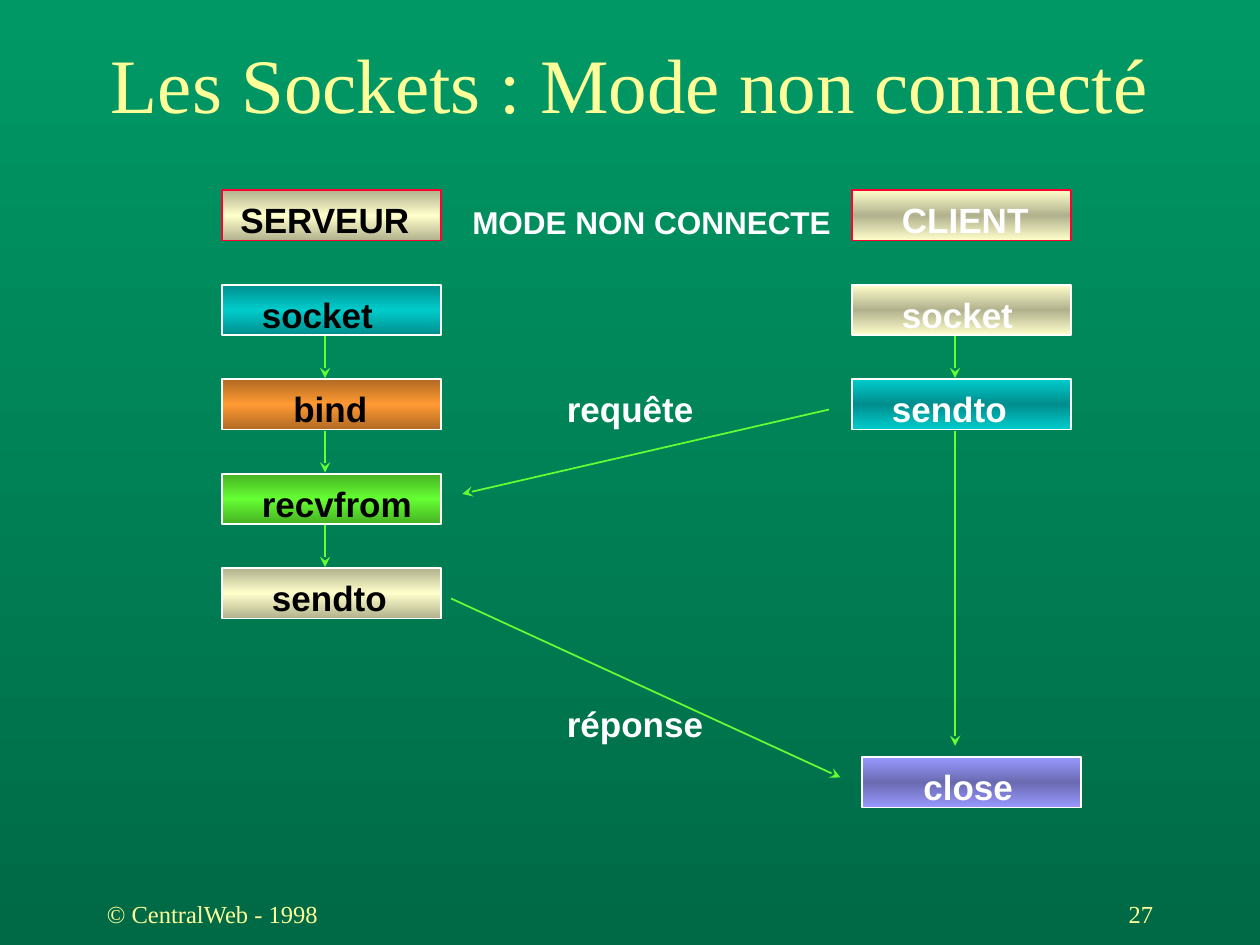
from copy import deepcopy
from dataclasses import dataclass

from lxml.etree import SubElement
from pptx import Presentation
from pptx.dml.color import RGBColor
from pptx.dml.fill import FillFormat
from pptx.enum.shapes import MSO_CONNECTOR, MSO_SHAPE
from pptx.enum.text import MSO_ANCHOR, MSO_AUTO_SIZE, PP_ALIGN
from pptx.oxml.ns import qn
from pptx.util import Inches, Pt

BLACK, WHITE, RED = "000000", "FFFFFF", "FF0033"
PALE_YELLOW, ARROW_GREEN = "FFFF99", "66FF33"
CREAM, DARK_CREAM = "FFFFCC", "B1B18D"
TEAL, DARK_TEAL = "00CCCC", "008D8D"

FIRST_ROW, ROW_STEP = 1.51, 0.75
STEP_WIDTH, STEP_HEIGHT = 1.74, 0.4
SERVER_LEFT, CLIENT_LEFT, CLOSE_LEFT = 1.76, 6.76, 6.84
SERVER_AXIS, CLIENT_AXIS = 2.58, 7.58


@dataclass(frozen=True)
class Step:
    name: str
    row: int
    left: float
    name_left: float
    name_width: float
    edge: str
    middle: str
    color: str
    outline: str = WHITE


@dataclass(frozen=True)
class Caption:
    wording: str
    left: float
    top: float
    width: float
    height: float = 0.43
    size: int = 20
    color: str = WHITE


@dataclass(frozen=True)
class Arrow:
    x1: float
    y1: float
    x2: float
    y2: float


STEPS = [
    Step("SERVEUR", 0, SERVER_LEFT, 1.81, 1.55, DARK_CREAM, CREAM, BLACK, RED),
    Step("socket", 1, SERVER_LEFT, 1.98, 1.08, DARK_TEAL, TEAL, BLACK),
    Step("bind", 2, SERVER_LEFT, 2.23, 0.79, "B16A23", "FF9933", BLACK),
    Step("recvfrom", 3, SERVER_LEFT, 1.98, 1.39, "46B123", "66FF33", BLACK),
    Step("sendto", 4, SERVER_LEFT, 2.06, 1.11, DARK_CREAM, CREAM, BLACK),
    Step("CLIENT", 0, CLIENT_LEFT, 7.06, 1.21, CREAM, DARK_CREAM, WHITE, RED),
    Step("socket", 1, CLIENT_LEFT, 7.06, 1.08, CREAM, DARK_CREAM, WHITE),
    Step("sendto", 2, CLIENT_LEFT, 6.98, 1.11, TEAL, DARK_TEAL, WHITE),
    Step("close", 6, CLOSE_LEFT, 7.23, 0.91, "9999FF", "6A6AB1", WHITE),
]

CAPTIONS = [
    Caption("MODE NON CONNECTE", 3.65, 1.56, 3.05, 0.4, 18),
    Caption("requête", 4.4, 3.03, 1.21),
    Caption("réponse", 4.4, 5.53, 1.29),
]


def step_arrow(axis: float, row: int, next_row: int) -> Arrow:
    """Vertical arrow from under one row to just above a later one."""
    return Arrow(axis, FIRST_ROW + row * ROW_STEP + 0.41,
                 axis, FIRST_ROW + next_row * ROW_STEP - 0.01)


ARROWS = [
    *(step_arrow(SERVER_AXIS, row, row + 1) for row in (1, 2, 3)),
    step_arrow(CLIENT_AXIS, 1, 2),
    Arrow(CLIENT_AXIS, 3.42, CLIENT_AXIS, 5.92),
    Arrow(6.58, 3.25, 3.67, 3.92),
    Arrow(3.58, 4.75, 6.67, 6.17),
]


def rgb(hex_color: str) -> RGBColor:
    return RGBColor.from_string(hex_color)


def fill_downwards(fill: FillFormat, owner, colors: list[str]) -> None:
    """Gradient from top to bottom with evenly spaced stops."""
    fill.gradient()
    fill.gradient_angle = 270
    stop_list = owner.xpath(".//a:gsLst")[0]
    while len(stop_list) < len(colors):
        stop_list.append(deepcopy(stop_list[0]))
    for index, (stop, color) in enumerate(zip(fill.gradient_stops, colors)):
        stop.position = index / (len(colors) - 1)
        stop.color.rgb = rgb(color)


def add_text(slide, caption: Caption, font_name: str = "Arial"):
    box = slide.shapes.add_textbox(Inches(caption.left), Inches(caption.top),
                                   Inches(caption.width), Inches(caption.height))
    frame = box.text_frame
    frame.text = caption.wording
    frame.word_wrap = False
    font = frame.paragraphs[0].runs[0].font
    font.name = font_name
    font.size = Pt(caption.size)
    font.bold = font_name == "Arial"
    font.color.rgb = rgb(caption.color)
    return frame


def add_label(slide, caption: Caption) -> None:
    add_text(slide, caption).auto_size = MSO_AUTO_SIZE.SHAPE_TO_FIT_TEXT


def add_frame_text(slide, caption: Caption, align: PP_ALIGN) -> None:
    """Title or footer text, in serif and centred vertically."""
    frame = add_text(slide, caption, "Times New Roman")
    frame.word_wrap = True
    frame.vertical_anchor = MSO_ANCHOR.MIDDLE
    frame.paragraphs[0].alignment = align


def add_step(slide, step: Step) -> None:
    top = FIRST_ROW + step.row * ROW_STEP
    box = slide.shapes.add_shape(MSO_SHAPE.RECTANGLE, Inches(step.left), Inches(top),
                                 Inches(STEP_WIDTH), Inches(STEP_HEIGHT))
    box.shadow.inherit = False
    fill_downwards(box.fill, box._element, [step.edge, step.middle, step.edge])
    box.line.color.rgb = rgb(step.outline)
    box.line.width = Pt(1)
    add_label(slide, Caption(step.name, step.name_left, top + 0.02,
                             step.name_width, color=step.color))


def add_arrow(slide, arrow: Arrow) -> None:
    connector = slide.shapes.add_connector(
        MSO_CONNECTOR.STRAIGHT, Inches(arrow.x1), Inches(arrow.y1),
        Inches(arrow.x2), Inches(arrow.y2))
    connector.line.color.rgb = rgb(ARROW_GREEN)
    connector.line.width = Pt(1)
    SubElement(connector.line._get_or_add_ln(), qn("a:tailEnd"), type="stealth")
    SubElement(connector._element.spPr, qn("a:effectLst"))


def main() -> None:
    presentation = Presentation()
    presentation.slide_width, presentation.slide_height = Inches(10), Inches(7.5)
    slide = presentation.slides.add_slide(presentation.slide_layouts[6])
    fill_downwards(slide.background.fill, slide._element, ["009966", "006A46"])

    add_frame_text(slide, Caption("Les Sockets : Mode non connecté", 0, 0.31, 10, 0.69,
                                  44, PALE_YELLOW), PP_ALIGN.CENTER)
    for step in STEPS:
        add_step(slide, step)
    for arrow in ARROWS:
        add_arrow(slide, arrow)
    for caption in CAPTIONS:
        add_label(slide, caption)
    add_frame_text(slide, Caption("27", 7.17, 7, 2.08, 0.5, 14, PALE_YELLOW),
                   PP_ALIGN.RIGHT)
    add_frame_text(slide, Caption("© CentralWeb - 1998", 0.75, 7, 2.08, 0.5, 14,
                                  PALE_YELLOW), PP_ALIGN.LEFT)
    presentation.save("out.pptx")


if __name__ == "__main__":
    main()
